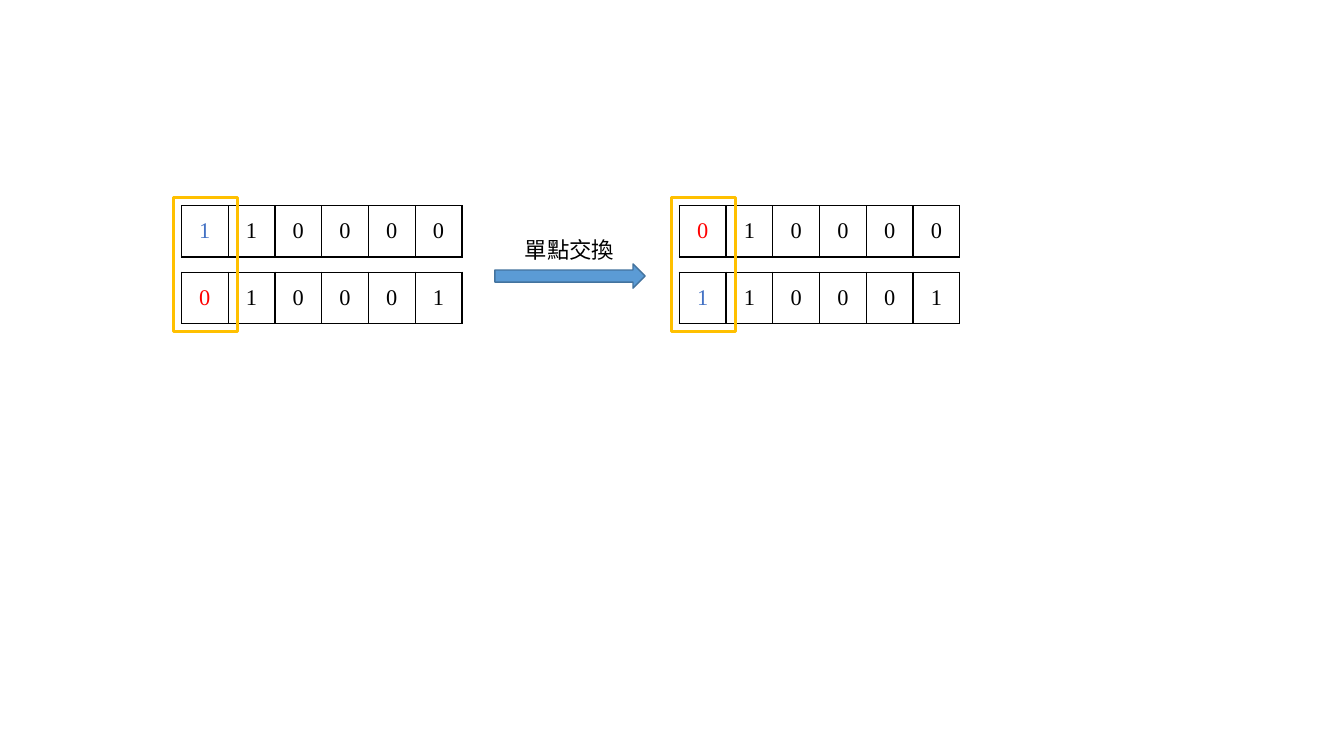
from dataclasses import dataclass

from lxml import etree
from pptx import Presentation
from pptx.dml.color import RGBColor
from pptx.enum import shapes, text
from pptx.oxml import ns
from pptx.util import Pt


@dataclass(frozen=True)
class Theme:
    ink: str = "000000"
    paper: str = "FFFFFF"
    first_gene: str = "4472C4"
    second_gene: str = "FF0000"
    highlight: str = "FFC000"
    arrow: str = "5B9BD5"
    arrow_edge: str = "43739E"
    digit_font: str = "Times New Roman"
    label_font: str = "Noto Sans CJK SC"
    size: float = 16
    thin: float = 1
    thick: float = 2


class CrossoverSlide:
    def __init__(self, slide, theme):
        self.slide = slide
        self.theme = theme

    def add_words(self, frame, words, font, color):
        paragraph = frame.paragraphs[0]
        paragraph.alignment = text.PP_ALIGN.CENTER
        run = paragraph.add_run()
        run.text = words
        run.font.name = font
        run.font.size = Pt(self.theme.size)
        run.font.color.rgb = RGBColor.from_string(color)
        return run

    def border(self, cell):
        """Draw all four edges; they must precede the fill in the cell's XML."""
        properties = cell._tc.get_or_add_tcPr()
        for index, side in enumerate(("lnL", "lnR", "lnT", "lnB")):
            edge = etree.Element(ns.qn(f"a:{side}"), w=str(Pt(self.theme.thin)))
            fill = etree.SubElement(edge, ns.qn("a:solidFill"))
            etree.SubElement(fill, ns.qn("a:srgbClr"), val=self.theme.ink)
            properties.insert(index, edge)

    def chromosome(self, left, top, genes, first_color):
        table = self.slide.shapes.add_table(
            1, len(genes), Pt(left), Pt(top), Pt(GENE_WIDTH * len(genes)), Pt(GENE_HEIGHT)
        ).table
        table.first_row = table.horz_banding = False
        for column, gene in enumerate(genes):
            table.columns[column].width = Pt(GENE_WIDTH)
            cell = table.cell(0, column)
            cell.fill.solid()
            cell.fill.fore_color.rgb = RGBColor.from_string(self.theme.paper)
            self.border(cell)
            cell.vertical_anchor = text.MSO_ANCHOR.MIDDLE
            color = self.theme.ink if column else first_color
            self.add_words(cell.text_frame, gene, self.theme.digit_font, color)

    def shape(self, kind, left, top, width, height, line, weight, fill=None):
        shape = self.slide.shapes.add_shape(kind, Pt(left), Pt(top), Pt(width), Pt(height))
        shape.shadow.inherit = False
        shape.line.color.rgb = RGBColor.from_string(line)
        shape.line.width = Pt(weight)
        if fill:
            shape.fill.solid()
            shape.fill.fore_color.rgb = RGBColor.from_string(fill)
        else:
            shape.fill.background()

    def label(self, left, top, width, height, words):
        frame = self.slide.shapes.add_textbox(Pt(left), Pt(top), Pt(width), Pt(height)).text_frame
        frame.word_wrap = False
        frame.auto_size = text.MSO_AUTO_SIZE.SHAPE_TO_FIT_TEXT
        run = self.add_words(frame, words, self.theme.label_font, self.theme.ink)
        east_asian = etree.SubElement(run.font._element, ns.qn("a:ea"))
        east_asian.set("typeface", self.theme.label_font)


GENE_WIDTH, GENE_HEIGHT = 33.4, 36.7
ROW_TOP, ROW_STEP = 146.9, 47.5
BEFORE_LEFT, AFTER_LEFT = 129.6, 485.2
FRAME_MARGIN = 5.8


def main():
    theme = Theme()
    presentation = Presentation()
    presentation.slide_width, presentation.slide_height = Pt(960), Pt(540)
    crossover = CrossoverSlide(presentation.slides.add_slide(presentation.slide_layouts[6]), theme)

    gene_colors = {"1": theme.first_gene, "0": theme.second_gene}
    pairs = {BEFORE_LEFT: ("110000", "010001"), AFTER_LEFT: ("010000", "110001")}
    for left, pair in pairs.items():
        for row, genes in enumerate(pair):
            crossover.chromosome(left, ROW_TOP + row * ROW_STEP, genes, gene_colors[genes[0]])

    frame_height = ROW_STEP + GENE_HEIGHT + 2 * FRAME_MARGIN
    for left in pairs:
        crossover.shape(shapes.MSO_SHAPE.RECTANGLE, left - FRAME_MARGIN, ROW_TOP - FRAME_MARGIN,
                        46.1, frame_height, theme.highlight, theme.thick)

    crossover.shape(shapes.MSO_SHAPE.RIGHT_ARROW, 353.5, 188.6, 107.3, 17.3,
                    theme.arrow_edge, theme.thin, theme.arrow)
    crossover.label(367.2, 164.9, 79.2, 26.6, "單點交換")
    presentation.save("out.pptx")


if __name__ == "__main__":
    main()
